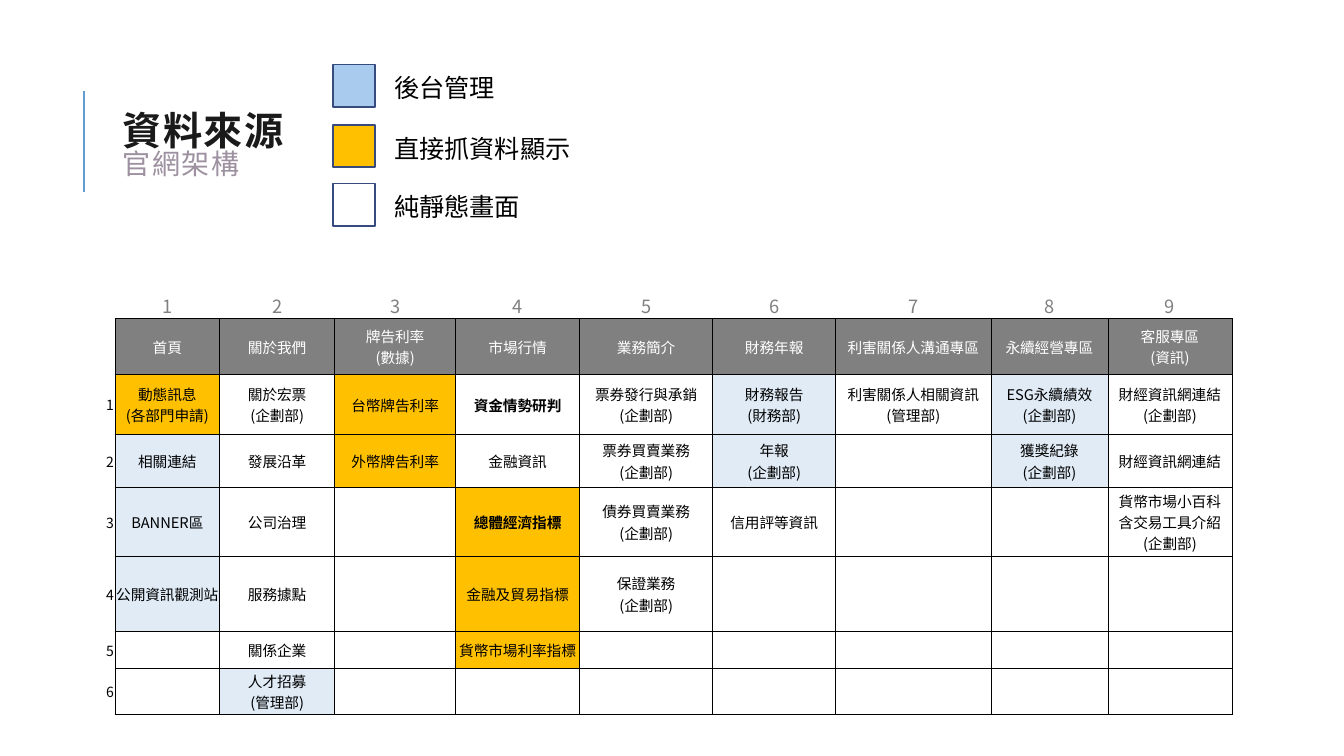
from dataclasses import dataclass

from lxml import etree
from pptx import Presentation
from pptx.dml.color import RGBColor
from pptx.enum.shapes import MSO_CONNECTOR, MSO_SHAPE
from pptx.enum.text import MSO_ANCHOR, PP_ALIGN
from pptx.oxml.ns import qn
from pptx.util import Pt

EMU_PER_PX = 9144  # 100 px to the inch
RECTANGLE = MSO_SHAPE.RECTANGLE
STRAIGHT = MSO_CONNECTOR.STRAIGHT
MIDDLE = MSO_ANCHOR.MIDDLE
CENTER, RIGHT = PP_ALIGN.CENTER, PP_ALIGN.RIGHT

COLORS = {
    "white": "FFFFFF", "black": "000000", "title": "1A1A1A", "subtitle": "9D90A0",
    "accent": "629DD1", "grey": "808080", "direct": "FFC000", "managed": "E0EBF6",
    "legend_blue": "A9CCEE", "legend_line": "374B7F",
}
SC, TC = "Noto Sans CJK SC", "Noto Sans CJK TC"


@dataclass(frozen=True)
class Style:
    size: float
    color: str
    font: str = SC
    east_asian: str = SC
    bold: bool = False
    spacing: int = 0


@dataclass(frozen=True)
class Cell:
    text: str = ""
    fill: str = "white"
    bold: bool = False
    font: str = SC


@dataclass(frozen=True)
class LegendItem:
    text: str
    fill: str
    top: int
    width: int


def managed(text: str) -> Cell:
    return Cell(text, "managed")


def direct(text: str, bold: bool = False, font: str = SC) -> Cell:
    return Cell(text, "direct", bold, font)


LEGEND = [
    LegendItem("後台管理", "legend_blue", 64, 121),
    LegendItem("直接抓資料顯示", "direct", 124, 197),
    LegendItem("純靜態畫面", "white", 182, 146),
]
HEADERS = ["首頁", "關於我們", "牌告利率\n(數據)", "市場行情", "業務簡介", "財務年報",
           "利害關係人溝通專區", "永續經營專區", "客服專區\n(資訊)"]
# One list per header, from top to bottom
SECTIONS = [
    [direct("動態訊息\n(各部門申請)"), managed("相關連結"), managed("BANNER區"),
     managed("公開資訊觀測站")],
    [Cell("關於宏票\n(企劃部)"), Cell("發展沿革"), Cell("公司治理"), Cell("服務據點"),
     Cell("關係企業"), managed("人才招募\n(管理部)")],
    [direct("台幣牌告利率"), direct("外幣牌告利率")],
    [Cell("資金情勢研判", bold=True), Cell("金融資訊", font=TC),
     direct("總體經濟指標", bold=True), direct("金融及貿易指標", font=TC),
     direct("貨幣市場利率指標", font=TC)],
    [Cell("票券發行與承銷\n(企劃部)"), Cell("票券買賣業務\n(企劃部)"),
     Cell("債券買賣業務\n(企劃部)"), Cell("保證業務\n(企劃部)")],
    [managed("財務報告\n(財務部)"), managed("年報\n(企劃部)"), Cell("信用評等資訊")],
    [Cell("利害關係人相關資訊\n(管理部)")],
    [managed("ESG永續績效\n(企劃部)"), managed("獲獎紀錄\n(企劃部)")],
    [Cell("財經資訊網連結\n(企劃部)"), Cell("財經資訊網連結"),
     Cell("貨幣市場小百科\n含交易工具介紹\n(企劃部)")],
]
COLUMN_WIDTHS = [46, 104, 114, 120, 123, 132, 122, 154, 116, 123]
ROW_HEIGHTS = [27, 55, 60, 52, 69, 74, 37, 46]


def px(value: int) -> int:
    return value * EMU_PER_PX


def rgb(name: str) -> RGBColor:
    return RGBColor.from_string(COLORS[name])


def add_text(paragraph, text: str, style: Style) -> None:
    """Add one run per line, with line breaks between them."""
    for index, line in enumerate(text.split("\n")):
        if index:
            paragraph.add_line_break()
        run = paragraph.add_run()
        run.text = line
        run.font.size = Pt(style.size)
        run.font.bold = style.bold
        run.font.name = style.font
        run.font.color.rgb = rgb(style.color)
        properties = run.font._element
        etree.SubElement(properties, qn("a:ea"), typeface=style.east_asian)
        if style.spacing:
            properties.set("spc", str(style.spacing))


def add_accent_line(slide) -> None:
    line = slide.shapes.add_connector(STRAIGHT, px(83), px(190), px(83), px(90))
    line.line.color.rgb = rgb("accent")
    line.line.width = Pt(1.5)
    etree.SubElement(line._element.spPr, qn("a:effectLst"))


def add_title(slide) -> None:
    frame = slide.shapes.add_textbox(px(112), px(64), px(1063), px(164)).text_frame
    frame.word_wrap = True
    frame.vertical_anchor = MIDDLE
    paragraph = frame.paragraphs[0]
    paragraph.line_spacing = 0.8
    add_text(paragraph, "資料來源", Style(28, "title", "Calibri", TC, True, 100))
    paragraph.add_line_break()
    add_text(paragraph, "官網架構", Style(20, "subtitle", "Calibri", TC, False, 100))


def add_legend_item(slide, item: LegendItem) -> None:
    box = slide.shapes.add_shape(RECTANGLE, px(330), px(item.top), px(42), px(42))
    box.shadow.inherit = False
    box.fill.solid()
    box.fill.fore_color.rgb = rgb(item.fill)
    box.line.color.rgb = rgb("legend_line")
    box.line.width = Pt(1.25)
    label = slide.shapes.add_textbox(px(381), px(item.top + 3), px(item.width), px(40))
    label.text_frame.word_wrap = False
    add_text(label.text_frame.paragraphs[0], item.text, Style(18, "black", "Cabin", TC))


def set_borders(cell, visible: str) -> None:
    """Draw the sides named in visible, a string of L, R, T and B."""
    properties = cell._tc.get_or_add_tcPr()
    for side in "LRTB":
        line = etree.SubElement(properties, qn(f"a:ln{side}"), w=str(Pt(0.5)))
        if side in visible:
            fill = etree.SubElement(line, qn("a:solidFill"))
            etree.SubElement(fill, qn("a:srgbClr"), val=COLORS["black"])
        else:
            etree.SubElement(line, qn("a:noFill"))


def fill_cell(cell, content: Cell, style: Style, borders: str, align=CENTER) -> None:
    set_borders(cell, borders)
    cell.fill.solid()
    cell.fill.fore_color.rgb = rgb(content.fill)
    cell.margin_left = cell.margin_right = cell.margin_top = px(1)
    cell.margin_bottom = 0
    cell.vertical_anchor = MIDDLE
    paragraph = cell.text_frame.paragraphs[0]
    paragraph.alignment = align
    if content.text:
        add_text(paragraph, content.text, style)
    else:
        etree.SubElement(paragraph._p, qn("a:endParaRPr"), sz="1000")


def add_site_table(slide) -> None:
    table = slide.shapes.add_table(
        len(ROW_HEIGHTS), len(COLUMN_WIDTHS), px(68), px(289),
        px(sum(COLUMN_WIDTHS)), px(sum(ROW_HEIGHTS))).table
    table.first_row = table.horz_banding = False
    for column, width in zip(table.columns, COLUMN_WIDTHS):
        column.width = px(width)
    for row, height in zip(table.rows, ROW_HEIGHTS):
        row.height = px(height)

    for row in range(len(ROW_HEIGHTS)):
        number = Cell(str(row - 1) if row > 1 else "")
        fill_cell(table.cell(row, 0), number, Style(10, "black"), "R" if row else "", RIGHT)
    for column, (header, section) in enumerate(zip(HEADERS, SECTIONS), start=1):
        fill_cell(table.cell(0, column), Cell(str(column)), Style(13, "grey"), "B")
        fill_cell(table.cell(1, column), Cell(header, "grey"), Style(10.5, "white"), "LRTB")
        for row in range(2, len(ROW_HEIGHTS)):
            content = section[row - 2] if row - 2 < len(section) else Cell()
            style = Style(10.5, "black", content.font, content.font, content.bold)
            fill_cell(table.cell(row, column), content, style, "LRTB")


def main() -> None:
    presentation = Presentation()
    presentation.slide_width, presentation.slide_height = px(1333), px(750)
    slide = presentation.slides.add_slide(presentation.slide_layouts[6])
    add_accent_line(slide)
    add_site_table(slide)
    add_title(slide)
    for item in LEGEND:
        add_legend_item(slide, item)
    presentation.save("out.pptx")


if __name__ == "__main__":
    main()
